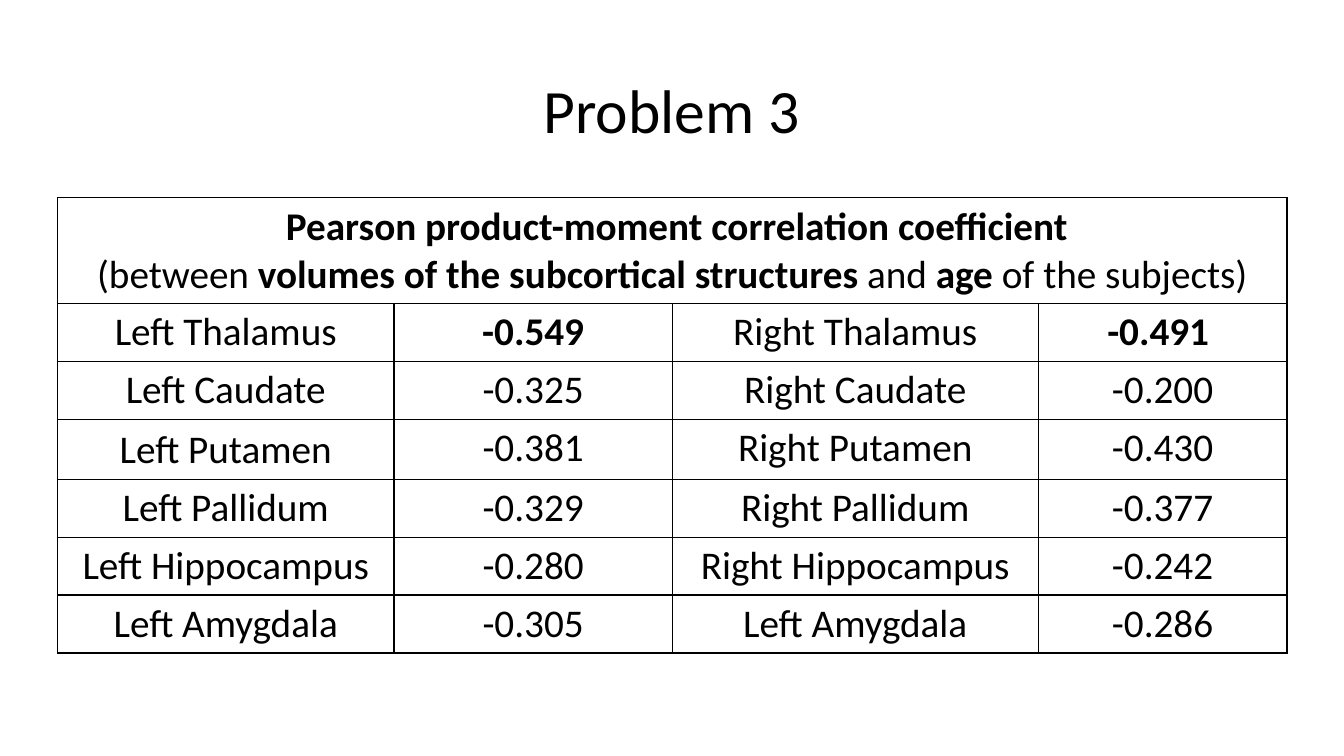
from dataclasses import dataclass

from lxml.etree import SubElement
from pptx import Presentation
from pptx.dml.color import RGBColor
from pptx.enum.text import MSO_ANCHOR as Anchor, PP_ALIGN as Align
from pptx.oxml.ns import qn
from pptx.util import Pt


@dataclass(frozen=True)
class Theme:
    font: str = "Calibri"
    ink: str = "000000"
    paper: str = "FFFFFF"
    title_size: int = 44
    table_size: int = 28
    border: int = 1


THEME = Theme()
HEADING = [
    [(" Pearson product-moment correlation coefficient", True)],
    [
        ("(between ", False),
        ("volumes of the subcortical structures ", True),
        ("and ", False),
        ("age", True),
        (" of the subjects)", False),
    ],
]
CORRELATIONS = [
    ("Left Thalamus", "-0.549", "Right Thalamus", "-0.491 "),
    ("Left Caudate", "-0.325", "Right Caudate", "-0.200"),
    ("Left Putamen", "-0.381", "Right Putamen", "-0.430"),
    ("Left Pallidum", "-0.329", "Right Pallidum", "-0.377"),
    ("Left Hippocampus", "-0.280", "Right Hippocampus", "-0.242"),
    ("Left Amygdala", "-0.305", "Left Amygdala", "-0.286"),
]
COLUMN_SHARES = (3.34, 2.76, 3.63, 2.47)
HEADING_HEIGHT = 75.6
ROW_HEIGHT = 41.4
STRONGEST_ROW = 1
PADDED_CELL = (3, 0)


def write(paragraph, text, *, size, bold=False, spacing=1.0):
    paragraph.alignment = Align.CENTER
    paragraph.line_spacing = spacing
    run = paragraph.add_run()
    run.text = text
    run.font.name = THEME.font
    run.font.size = Pt(size)
    run.font.bold = bold
    run.font.color.rgb = RGBColor.from_string(THEME.ink)


def outline(cell):
    properties = cell._tc.get_or_add_tcPr()
    for position, side in enumerate(("lnL", "lnR", "lnT", "lnB")):
        line = SubElement(properties, qn(f"a:{side}"), w=str(Pt(THEME.border)))
        fill = SubElement(line, qn("a:solidFill"))
        SubElement(fill, qn("a:srgbClr"), val=THEME.ink)
        properties.insert(position, line)


def add_title(slide, text, left, top, width, height):
    shape = slide.shapes.add_textbox(Pt(left), Pt(top), Pt(width), Pt(height))
    frame = shape.text_frame
    frame.word_wrap = True
    frame.vertical_anchor = Anchor.MIDDLE
    write(frame.paragraphs[0], text, size=THEME.title_size, spacing=0.9)


def add_correlation_table(slide, left, top, width):
    height = HEADING_HEIGHT + ROW_HEIGHT * len(CORRELATIONS)
    table = slide.shapes.add_table(
        len(CORRELATIONS) + 1, len(COLUMN_SHARES),
        Pt(left), Pt(top), Pt(width), Pt(height),
    ).table
    table.first_row = False
    table.horz_banding = False
    for column, share in zip(table.columns, COLUMN_SHARES):
        column.width = Pt(width * share / sum(COLUMN_SHARES))
    for index, row in enumerate(table.rows):
        row.height = Pt(ROW_HEIGHT if index else HEADING_HEIGHT)
    for cell in table.iter_cells():
        cell.fill.solid()
        cell.fill.fore_color.rgb = RGBColor.from_string(THEME.paper)
        outline(cell)

    heading = table.cell(0, 0)
    heading.merge(table.cell(0, len(COLUMN_SHARES) - 1))
    heading.text_frame.add_paragraph()
    for paragraph, runs in zip(heading.text_frame.paragraphs, HEADING):
        for text, bold in runs:
            write(paragraph, text, size=THEME.table_size, bold=bold)

    for row, values in enumerate(CORRELATIONS, start=1):
        for column, text in enumerate(values):
            bold = row == STRONGEST_ROW and column % 2 == 1
            paragraph = table.cell(row, column).text_frame.paragraphs[0]
            write(paragraph, text, size=THEME.table_size, bold=bold)

    padded = table.cell(*PADDED_CELL)
    padded.vertical_anchor = Anchor.MIDDLE
    padded.margin_left = padded.margin_right = Pt(10)
    padded.margin_top = padded.margin_bottom = Pt(4.5)


def main():
    presentation = Presentation()
    presentation.slide_width = Pt(960)
    presentation.slide_height = Pt(540)
    slide = presentation.slides.add_slide(presentation.slide_layouts[6])
    add_title(slide, "Problem 3", left=66, top=28.75, width=828, height=104.4)
    add_correlation_table(slide, left=41, top=141.3, width=878.4)
    presentation.save("out.pptx")


if __name__ == "__main__":
    main()
